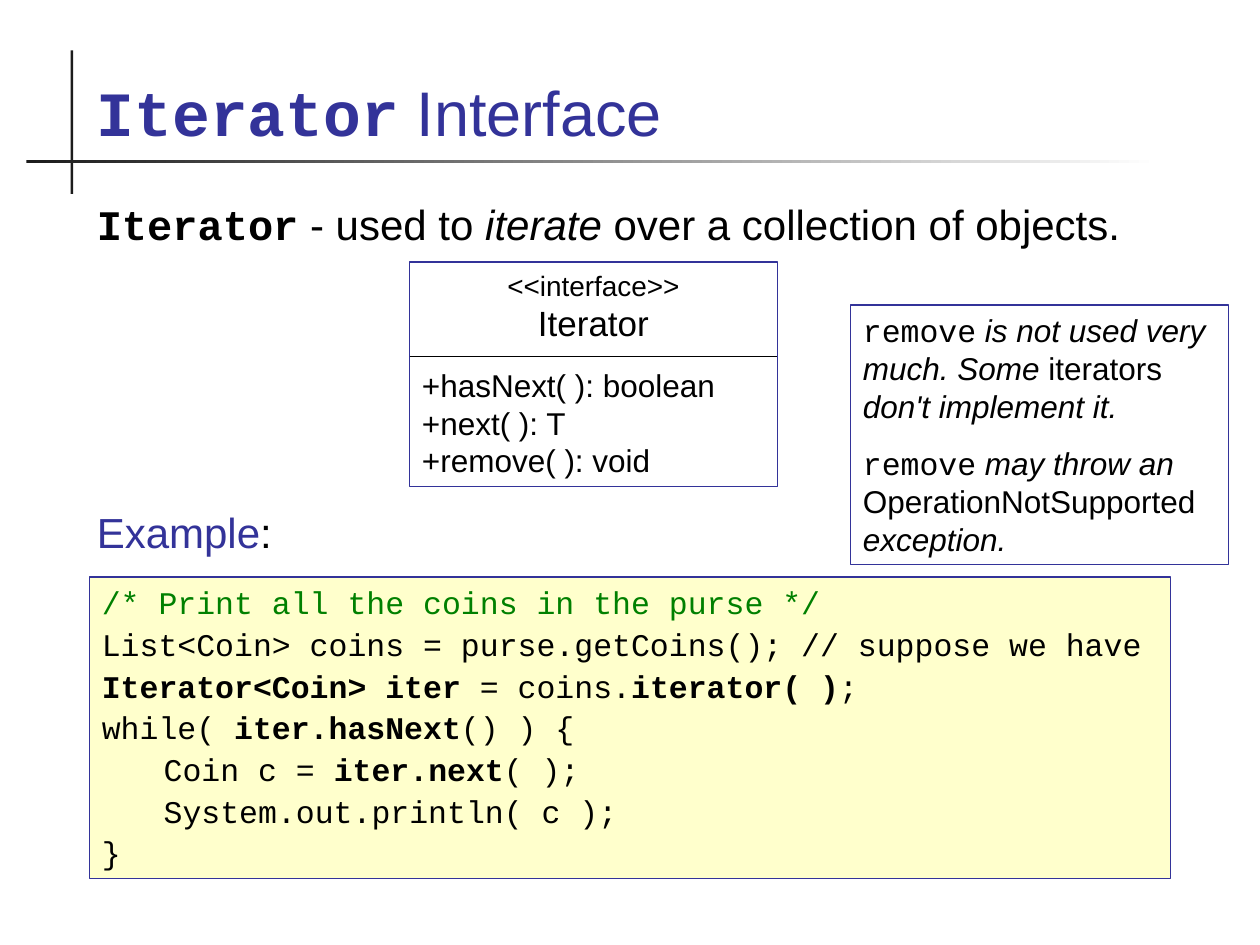
"""Build a slide that explains the Iterator interface."""
import pptx
import pptx.util
import pptx.dml.color
import pptx.enum.shapes
import pptx.enum.text
from lxml import etree
from pptx.oxml.ns import qn
from pptx.util import Inches, Pt

INK, BLUE, BLACK, GREEN, CREAM, WHITE = "1C1C1C", "333399", "000000", "008000", "FFFFCC", "FFFFFF"
SANS, MONO = "Arial", "Courier New"
CODE_TAB = 0.49

# Run: text, style letters (b bold, i italic, m monospaced), optional colour
TITLE = [[("Iterator", "bm", BLUE), (" Interface", "", BLUE)]]
INTRO = [[("Iterator", "bm"), (" - used to ", ""), ("iterate ", "i"),
          ("over a collection of objects.", "")]]
EXAMPLE = [[("Example", "", BLUE), (":", "")]]
INTERFACE = [[("<<interface>>", "")], [("Iterator", "")], [("+hasNext( ): boolean", "")],
             [("+next( ): T", "")], [("+remove( ): void", "")]]
REMARKS = [
    [("remove", "m"), (" is not used very much. Some ", "i"), ("iterators", ""),
     (" don't implement it.", "i")],
    [("remove", "m"), (" may throw an ", "i"), ("OperationNotSupported", ""),
     (" exception.", "i")],
]
CODE = [
    [("/* Print all the coins in the purse */", "m", GREEN)],
    [("List<Coin> coins = purse.getCoins(); // suppose we have", "m")],
    [("Iterator<Coin> iter", "bm"), (" = coins.", "m"), ("iterator( )", "bm"), (";", "m")],
    [("while( ", "m"), ("iter.hasNext", "bm"), ("() ) {", "m")],
    [("\tCoin c = ", "m"), ("iter.next", "bm"), ("( );", "m")],
    [("\tSystem.out.println( c );", "m")],
    [("}", "m")],
]


def rgb(value):
    return pptx.dml.color.RGBColor.from_string(value)


def write(sp, paragraphs, size, gap=0, anchor="TOP"):
    tf = sp.text_frame
    tf.word_wrap = True
    tf.vertical_anchor = pptx.enum.text.MSO_ANCHOR[anchor]
    for i, runs in enumerate(paragraphs):
        p = tf.add_paragraph() if i else tf.paragraphs[0]
        p.alignment = pptx.enum.text.PP_ALIGN.LEFT
        p.space_before = Pt(gap if i else 0)
        if runs[0][0].startswith("\t"):
            tabs = etree.SubElement(p._p.get_or_add_pPr(), qn("a:tabLst"))
            etree.SubElement(tabs, qn("a:tab"), pos=str(Inches(CODE_TAB)), algn="l")
        for text, style, *color in runs:
            r = p.add_run()
            r.text = text
            r.font.size = Pt(size)
            r.font.name = MONO if "m" in style else SANS
            r.font.bold = "b" in style
            r.font.italic = "i" in style
            r.font.color.rgb = rgb(color[0] if color else BLACK)
    return tf


def add_label(s, box, paragraphs, size, anchor="TOP"):
    sp = s.shapes.add_textbox(*map(Inches, box))
    write(sp, paragraphs, size, anchor=anchor)


def add_box(s, box, fill=None, line=None):
    sp = s.shapes.add_shape(pptx.enum.shapes.MSO_SHAPE.RECTANGLE, *map(Inches, box))
    sp.shadow.inherit = False
    if fill:
        sp.fill.solid()
        sp.fill.fore_color.rgb = rgb(fill)
    else:
        sp.fill.background()
    if line:
        sp.line.color.rgb = rgb(line)
        sp.line.width = Pt(0.75)
    else:
        sp.line.fill.background()
    return sp


def add_rules(s):
    add_box(s, (0.56, 0.4, 0.02, 1.14), INK)
    fill = add_box(s, (0.21, 1.27, 8.99, 0.02)).fill
    fill.gradient()
    fill.gradient_angle = 0
    for stop, color in zip(fill.gradient_stops, (INK, WHITE)):
        stop.color.rgb = rgb(color)


def add_interface(s):
    left, top, width, height = 3.25, 2.08, 2.92, 1.78
    tf = write(add_box(s, (left, top, width, height), line=BLUE), INTERFACE, 18)
    for p, size in zip(tf.paragraphs, (16, 20)):
        p.alignment = pptx.enum.text.PP_ALIGN.CENTER
        p.runs[0].font.size = Pt(size)
    tf.paragraphs[1].space_after = Pt(12.5)
    y = Inches(top + 0.75)
    cx = s.shapes.add_connector(pptx.enum.shapes.MSO_CONNECTOR.STRAIGHT,
                                Inches(left), y, Inches(left + width), y)
    cx.line.color.rgb = rgb(BLACK)
    cx.line.width = Pt(0.75)
    etree.SubElement(cx._element.spPr, qn("a:effectLst"))


def main():
    prs = pptx.Presentation()
    prs.slide_width, prs.slide_height = Inches(10), Inches(7.5)
    s = prs.slides.add_slide(prs.slide_layouts[6])
    add_rules(s)
    add_label(s, (0.67, 0.28, 8.66, 0.95), TITLE, 36, "BOTTOM")
    add_label(s, (0.67, 1.53, 8.66, 0.5), INTRO, 24)
    add_label(s, (0.67, 3.97, 8.66, 0.5), EXAMPLE, 24)
    add_interface(s)
    write(add_box(s, (6.75, 2.42, 3, 2.06), line=BLUE), REMARKS, 18, 11.2)
    write(add_box(s, (0.71, 4.58, 8.58, 2.39), CREAM, BLUE), CODE, 18, 2.2)
    prs.save("out.pptx")


if __name__ == "__main__":
    main()
